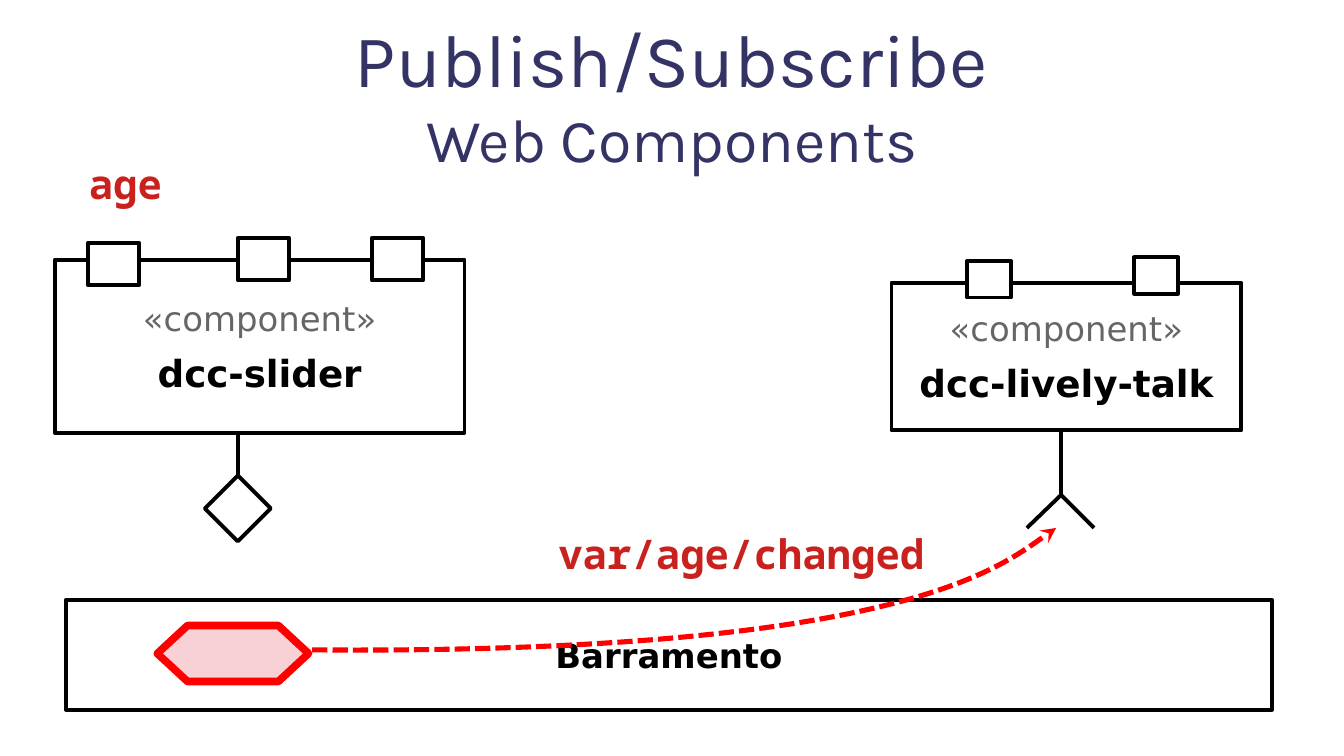
import pptx
import pptx.dml.color
import pptx.enum.dml
import pptx.enum.shapes
import pptx.enum.text
import pptx.oxml.ns
import pptx.oxml.xmlchemy
import pptx.util
from dataclasses import dataclass
from typing import Any

Inches = pptx.util.Inches
Pt = pptx.util.Pt
RGBColor = pptx.dml.color.RGBColor
MSO_SHAPE = pptx.enum.shapes.MSO_SHAPE
PP_ALIGN = pptx.enum.text.PP_ALIGN
MSO_ANCHOR = pptx.enum.text.MSO_ANCHOR
OxmlElement = pptx.oxml.xmlchemy.OxmlElement
qn = pptx.oxml.ns.qn

BLACK = RGBColor(0x00, 0x00, 0x00)
WHITE = RGBColor(0xFF, 0xFF, 0xFF)
GREY = RGBColor(0x66, 0x66, 0x66)
NAVY = RGBColor(0x33, 0x33, 0x66)
RED = RGBColor(0xFF, 0x00, 0x00)
DARK_RED = RGBColor(0xC9, 0x21, 0x1E)
PINK = RGBColor(0xF7, 0xD1, 0xD5)
SANS, MONO, TITLE_FONT = "DejaVu Sans", "Noto Sans Mono", "Karla"
LINE_WIDTH = 2.3


@dataclass
class Box:
    """Place and size in inches."""
    left: float
    top: float
    width: float
    height: float

    def emu(self) -> list:
        """Return the four lengths for python-pptx."""
        return [Inches(v) for v in (self.left, self.top, self.width, self.height)]


@dataclass
class Component:
    """A component with its property ports on the top edge."""
    name: str
    box: Box
    ports: list


COMPONENTS = [
    Component("dcc-slider", Box(0.45, 2.13, 3.36, 1.42),
              [Box(0.72, 1.99, 0.42, 0.35), Box(1.95, 1.95, 0.42, 0.35),
               Box(3.05, 1.95, 0.42, 0.35)]),
    Component("dcc-lively-talk", Box(7.31, 2.32, 2.87, 1.21),
              [Box(7.93, 2.14, 0.36, 0.3), Box(9.3, 2.11, 0.36, 0.3)]),
]
TOPICS = [("age", Box(0.63, 1.25, 0.8, 0.43)),
          ("var/age/changed", Box(4.48, 4.29, 3.2, 0.43))]


def add_run(p: Any, text: str, *, size: float, color: RGBColor,
            font: str = SANS, bold: bool = False) -> None:
    """Append formatted text to a paragraph."""
    r = p.add_run()
    r.text = text
    r.font.name, r.font.size, r.font.bold = font, Pt(size), bold
    r.font.color.rgb = color


def set_line(sp: Any, color: RGBColor = BLACK, width: float = LINE_WIDTH) -> None:
    """Set the colour and width of an outline or line."""
    sp.line.color.rgb = color
    sp.line.width = Pt(width)


def add_box(s: Any, box: Box, kind: Any = MSO_SHAPE.RECTANGLE, fill: RGBColor = WHITE,
            line: RGBColor = BLACK, width: float = LINE_WIDTH) -> Any:
    """Draw a filled preset shape and return it."""
    sp = s.shapes.add_shape(kind, *box.emu())
    sp.shadow.inherit = False
    sp.fill.solid()
    sp.fill.fore_color.rgb = fill
    set_line(sp, line, width)
    tf = sp.text_frame
    tf.word_wrap = False
    tf.vertical_anchor = MSO_ANCHOR.MIDDLE
    tf.paragraphs[0].alignment = PP_ALIGN.CENTER
    return sp


def add_component(s: Any, component: Component) -> None:
    """Draw a component, its labels and its ports."""
    tf = add_box(s, component.box).text_frame
    add_run(tf.paragraphs[0], "«component»", size=20, color=GREY)
    p = tf.add_paragraph()
    p.alignment = PP_ALIGN.CENTER
    p.space_before = Pt(7)
    add_run(p, component.name, size=22, color=BLACK, bold=True)
    for port in component.ports:
        add_box(s, port)


def add_stem(s: Any, x: float, top: float, bottom: float) -> None:
    """Draw a vertical line below a component."""
    cx = s.shapes.add_connector(pptx.enum.shapes.MSO_CONNECTOR.STRAIGHT,
                                Inches(x), Inches(top), Inches(x), Inches(bottom))
    set_line(cx)
    cx._element.spPr.append(OxmlElement("a:effectLst"))


def add_open_path(s: Any, points: list, color: RGBColor, width: float) -> Any:
    """Draw an unfilled open outline through the points."""
    (x, y), *rest = [(Inches(a), Inches(b)) for a, b in points]
    fb = s.shapes.build_freeform(x, y)
    fb.add_line_segments(rest, close=False)
    sp = fb.convert_to_shape()
    sp.shadow.inherit = False
    sp.fill.background()
    set_line(sp, color, width)
    return sp


def add_curved_arrow(s: Any, points: list) -> None:
    """Draw a dashed cubic curve from start, two controls and end."""
    sp = add_open_path(s, points, RED, 3)
    segments = list(sp._element.iter(qn("a:lnTo")))
    curve = OxmlElement("a:cubicBezTo")
    segments[0].addprevious(curve)
    for segment in segments:
        curve.append(segment[0])
        segment.getparent().remove(segment)
    sp.line.dash_style = pptx.enum.dml.MSO_LINE.SQUARE_DOT
    ln = sp._element.spPr.find(qn("a:ln"))
    ln.find(qn("a:prstDash")).set("val", "sysDash")
    tail = OxmlElement("a:tailEnd")
    tail.set("type", "stealth")
    ln.append(tail)


def add_title(s: Any) -> None:
    """Place and format the two-line title."""
    title = s.shapes.title
    title.left, title.top, title.width, title.height = Box(0.55, 0.01, 9.92, 1.52).emu()
    tf = title.text_frame
    tf.margin_left = tf.margin_right = tf.margin_top = tf.margin_bottom = 0
    tf.vertical_anchor = MSO_ANCHOR.MIDDLE
    tf.auto_size = pptx.enum.text.MSO_AUTO_SIZE.NONE
    p = tf.paragraphs[0]
    p.alignment = PP_ALIGN.CENTER
    add_run(p, "Publish/Subscribe", size=44, color=NAVY, font=TITLE_FONT)
    p.add_line_break()
    add_run(p, "Web Components", size=36, color=NAVY, font=TITLE_FONT)


def add_topic(s: Any, text: str, box: Box) -> None:
    """Write a message topic."""
    tf = s.shapes.add_textbox(*box.emu()).text_frame
    tf.word_wrap = False
    add_run(tf.paragraphs[0], text, size=24, color=DARK_RED, font=MONO, bold=True)


prs = pptx.Presentation()
prs.slide_width, prs.slide_height = Inches(11.02), Inches(6.2)
s = prs.slides.add_slide(prs.slide_layouts[5])
add_title(s)
for component in COMPONENTS:
    add_component(s, component)

add_stem(s, 8.7, 3.53, 4.05)
add_open_path(s, [(8.97, 4.33), (8.7, 4.06), (8.42, 4.33)], BLACK, LINE_WIDTH)
add_stem(s, 1.95, 3.55, 3.96)
add_box(s, Box(1.68, 3.9, 0.54, 0.54), MSO_SHAPE.DIAMOND)

bus = add_box(s, Box(0.54, 4.92, 9.89, 0.9))
add_run(bus.text_frame.paragraphs[0], "Barramento", size=20, color=BLACK, bold=True)
add_box(s, Box(1.29, 5.13, 1.24, 0.46), MSO_SHAPE.FLOWCHART_PREPARATION, PINK, RED, 4.5)
for text, box in TOPICS:
    add_topic(s, text, box)
add_curved_arrow(s, [(2.56, 5.33), (7.49, 5.37), (8.66, 4.33), (8.66, 4.33)])

prs.save("out.pptx")
